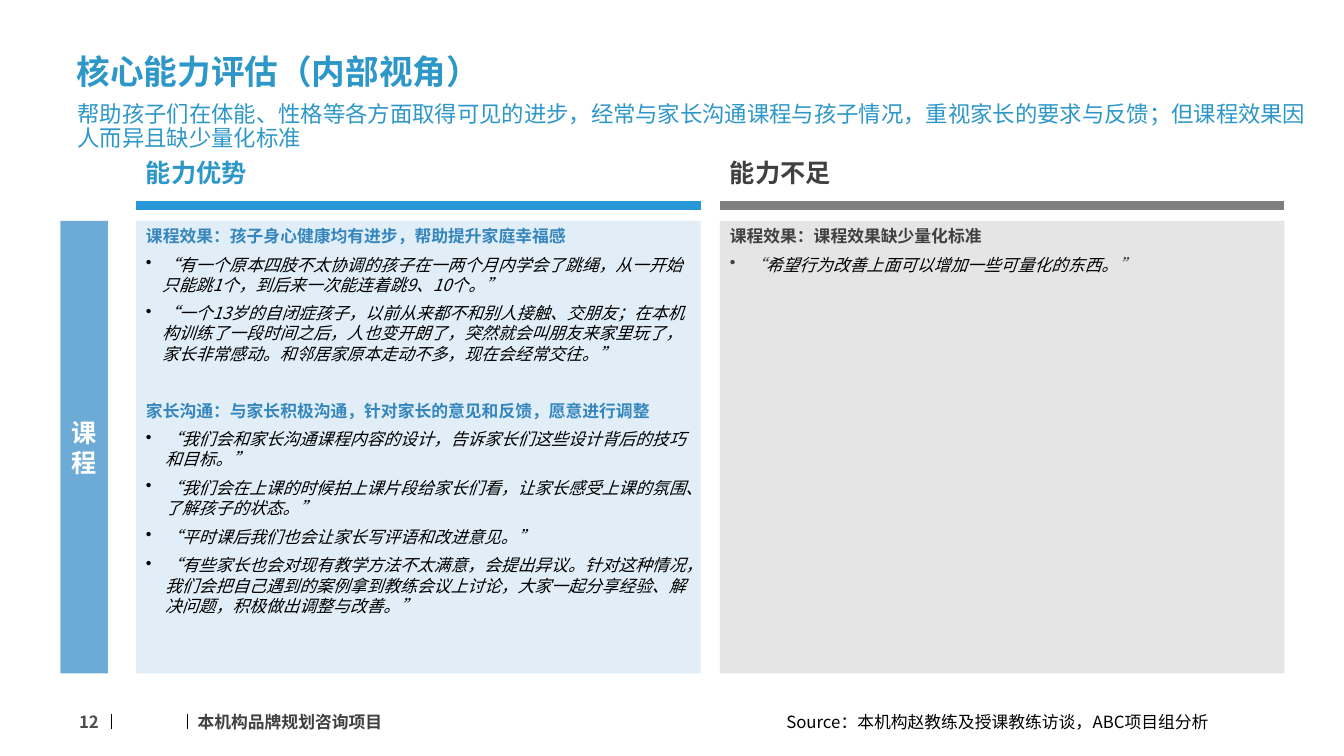
import pptx
import pptx.dml.color
import pptx.enum.shapes
import pptx.enum.text
import pptx.oxml
import pptx.oxml.ns
import pptx.util
from pptx.dml.color import RGBColor
from pptx.util import Inches

FONT = "Noto Sans CJK SC"
BLUE = RGBColor(0x2D, 0x97, 0xC8)
HEADING_BLUE = RGBColor(0x34, 0x86, 0xBD)
RULE_BLUE = RGBColor(0x28, 0x98, 0xD8)
TAB_BLUE = RGBColor(0x6B, 0xAB, 0xD6)
PALE_BLUE = RGBColor(0xE1, 0xEE, 0xF7)
DARK = RGBColor(0x40, 0x40, 0x40)
NUMBER_GRAY = RGBColor(0x4D, 0x4D, 0x4D)
RULE_GRAY = RGBColor(0x7F, 0x7F, 0x7F)
PALE_GRAY = RGBColor(0xE5, 0xE5, 0xE5)
BLACK = RGBColor(0, 0, 0)
WHITE = RGBColor(0xFF, 0xFF, 0xFF)
ALIGN = pptx.enum.text.PP_ALIGN
ANCHOR = pptx.enum.text.MSO_ANCHOR

STRENGTHS = [
    ("课程效果：孩子身心健康均有进步，帮助提升家庭幸福感", 0.16, [
        "“有一个原本四肢不太协调的孩子在一两个月内学会了跳绳，从一开始只能跳1个，到后来一次能连着跳9、10个。”",
        "“一个13岁的自闭症孩子，以前从来都不和别人接触、交朋友；在本机构训练了一段时间之后，人也变开朗了，"
        "突然就会叫朋友来家里玩了，家长非常感动。和邻居家原本走动不多，现在会经常交往。”",
    ]),
    ("家长沟通：与家长积极沟通，针对家长的意见和反馈，愿意进行调整", 0.19, [
        "“我们会和家长沟通课程内容的设计，告诉家长们这些设计背后的技巧和目标。”",
        "“我们会在上课的时候拍上课片段给家长们看，让家长感受上课的氛围、了解孩子的状态。”",
        "“平时课后我们也会让家长写评语和改进意见。”",
        "“有些家长也会对现有教学方法不太满意，会提出异议。针对这种情况，我们会把自己遇到的案例拿到教练会议上讨论，"
        "大家一起分享经验、解决问题，积极做出调整与改善。”",
    ]),
]
WEAKNESSES = [
    ("课程效果：课程效果缺少量化标准", 0.19, ["“希望行为改善上面可以增加一些可量化的东西。”"]),
]


def add_span(para, text, size=12, color=BLACK, bold=False, italic=False):
    """Append formatted text to a paragraph."""
    span = para.add_run()
    span.text = text
    span.font.size = pptx.util.Pt(size)
    span.font.bold = bold
    span.font.italic = italic
    span.font.color.rgb = color
    span.font.name = FONT
    latin = span.font._element.find(pptx.oxml.ns.qn("a:latin"))
    latin.addnext(pptx.oxml.parse_xml(
        f'<a:ea {pptx.oxml.ns.nsdecls("a")} typeface="{FONT}"/>'))


def set_frame(shape, anchor=ANCHOR.TOP, left_inset=0.1):
    """Prepare the text frame of a shape and return its first paragraph."""
    frame = shape.text_frame
    frame.word_wrap = True
    frame.auto_size = pptx.enum.text.MSO_AUTO_SIZE.NONE
    frame.vertical_anchor = anchor
    frame.margin_left = Inches(left_inset)
    frame.margin_right = Inches(0.1)
    frame.margin_top = frame.margin_bottom = Inches(0.05)
    para = frame.paragraphs[0]
    para.alignment = ALIGN.LEFT
    return para


def add_label(page, box, text, anchor=ANCHOR.TOP, left_inset=0.1, align=ALIGN.LEFT,
              line_spacing=None, **style):
    """Add a one-paragraph text box."""
    label = page.shapes.add_textbox(*map(Inches, box))
    para = set_frame(label, anchor, left_inset)
    para.alignment = align
    para.line_spacing = line_spacing
    add_span(para, text, **style)


def add_panel(page, box, fill):
    """Add a plain filled rectangle."""
    panel = page.shapes.add_shape(pptx.enum.shapes.MSO_SHAPE.RECTANGLE, *map(Inches, box))
    panel.shadow.inherit = False
    panel.fill.solid()
    panel.fill.fore_color.rgb = fill
    panel.line.fill.background()
    return panel


def add_rule(page, start, end, color, width):
    """Draw a straight line without a shadow."""
    rule = page.shapes.add_connector(
        pptx.enum.shapes.MSO_CONNECTOR.STRAIGHT, *map(Inches, start + end))
    rule.line.color.rgb = color
    rule.line.width = pptx.util.Pt(width)
    rule._element.spPr.append(
        pptx.oxml.parse_xml(f'<a:effectLst {pptx.oxml.ns.nsdecls("a")}/>'))


def set_bullet(para, indent):
    """Give a paragraph a hanging round bullet."""
    properties = para._p.get_or_add_pPr()
    properties.set("marL", str(Inches(indent)))
    properties.set("indent", str(-Inches(indent)))
    properties.append(pptx.oxml.parse_xml(
        f'<a:buChar {pptx.oxml.ns.nsdecls("a")} char="•"/>'))


def add_header(page, box):
    """Place the title and the summary below it."""
    left, top, width, height = box
    title = page.shapes.title
    title.left, title.top = Inches(left), Inches(top)
    title.width, title.height = Inches(8.69), Inches(0.5)
    para = set_frame(title, ANCHOR.MIDDLE)
    para.line_spacing = 0.9
    add_span(para, "核心能力评估（内部视角）", size=24, color=BLUE, bold=True)
    add_label(page, (left + 0.11, top + 0.49, width - 0.11, height - 0.49),
              "帮助孩子们在体能、性格等各方面取得可见的进步，经常与家长沟通课程与孩子情况，"
              "重视家长的要求与反馈；但课程效果因人而异且缺少量化标准",
              left_inset=0, line_spacing=0.9, size=16, color=BLUE)


def add_column(page, box, heading, sections, colors, quote_color):
    """Place a heading, its rule and a panel of quotations."""
    left, top, width, height = box
    heading_color, rule_color, fill, section_color = colors
    add_label(page, (left, top, 2.5, 0.4), heading, size=18, color=heading_color, bold=True)
    add_rule(page, (left, top + 0.53), (left + width, top + 0.53), rule_color, 6)
    panel = add_panel(page, (left, top + 0.68, width, height - 0.68), fill)
    para = set_frame(panel)
    for number, (section, indent, quotes) in enumerate(sections):
        if number:
            para = panel.text_frame.add_paragraph()
            para.space_before = pptx.util.Pt(20.4)
        para.alignment = ALIGN.LEFT
        para.space_after = pptx.util.Pt(6)
        add_span(para, section, color=section_color, bold=True)
        for quote in quotes:
            para = panel.text_frame.add_paragraph()
            para.alignment = ALIGN.LEFT
            para.space_after = pptx.util.Pt(6)
            set_bullet(para, indent)
            for text, color in ((quote[0], quote_color), (quote[1:-1], BLACK),
                                (quote[-1], quote_color)):
                add_span(para, text, color=color, italic=True)


def add_topic_tab(page, box):
    """Place the topic bar at the left edge."""
    tab = add_panel(page, box, TAB_BLUE)
    para = set_frame(tab, ANCHOR.MIDDLE)
    para.alignment = ALIGN.CENTER
    add_span(para, "课程", size=18, color=WHITE, bold=True)


def add_footer(page, box):
    """Place the page number, dividers, project name and source."""
    left, top, width, height = box
    for offset in (0.56, 1.32):
        add_rule(page, (left + offset, top + 0.14), (left + offset, top + 0.29), BLACK, 0.5)
    add_label(page, (left, top + 0.02, 0.54, 0.4), "12", anchor=ANCHOR.MIDDLE,
              align=ALIGN.RIGHT, color=NUMBER_GRAY, bold=True)
    add_label(page, (left + 1.42, top, 3.43, height), "本机构品牌规划咨询项目",
              anchor=ANCHOR.MIDDLE, left_inset=0, color=DARK, bold=True)
    add_label(page, (left + width - 4.75, top + 0.07, 4.75, 0.3),
              "Source：本机构赵教练及授课教练访谈，ABC项目组分析")


def main():
    """Build and save the slide."""
    deck = pptx.Presentation()
    deck.slide_width, deck.slide_height = Inches(13.33), Inches(7.5)
    page = deck.slides.add_slide(deck.slide_layouts.get_by_name("Title Only"))
    add_header(page, (0.66, 0.48, 12.42, 1.07))
    add_topic_tab(page, (0.6, 2.19, 0.47, 4.49))
    add_column(page, (1.35, 1.51, 5.6, 5.17), "能力优势", STRENGTHS,
               (BLUE, RULE_BLUE, PALE_BLUE, HEADING_BLUE), BLACK)
    add_column(page, (7.14, 1.51, 5.6, 5.17), "能力不足", WEAKNESSES,
               (DARK, RULE_GRAY, PALE_GRAY, DARK), DARK)
    add_footer(page, (0.54, 6.94, 11.91, 0.44))
    deck.save("out.pptx")


if __name__ == "__main__":
    main()
